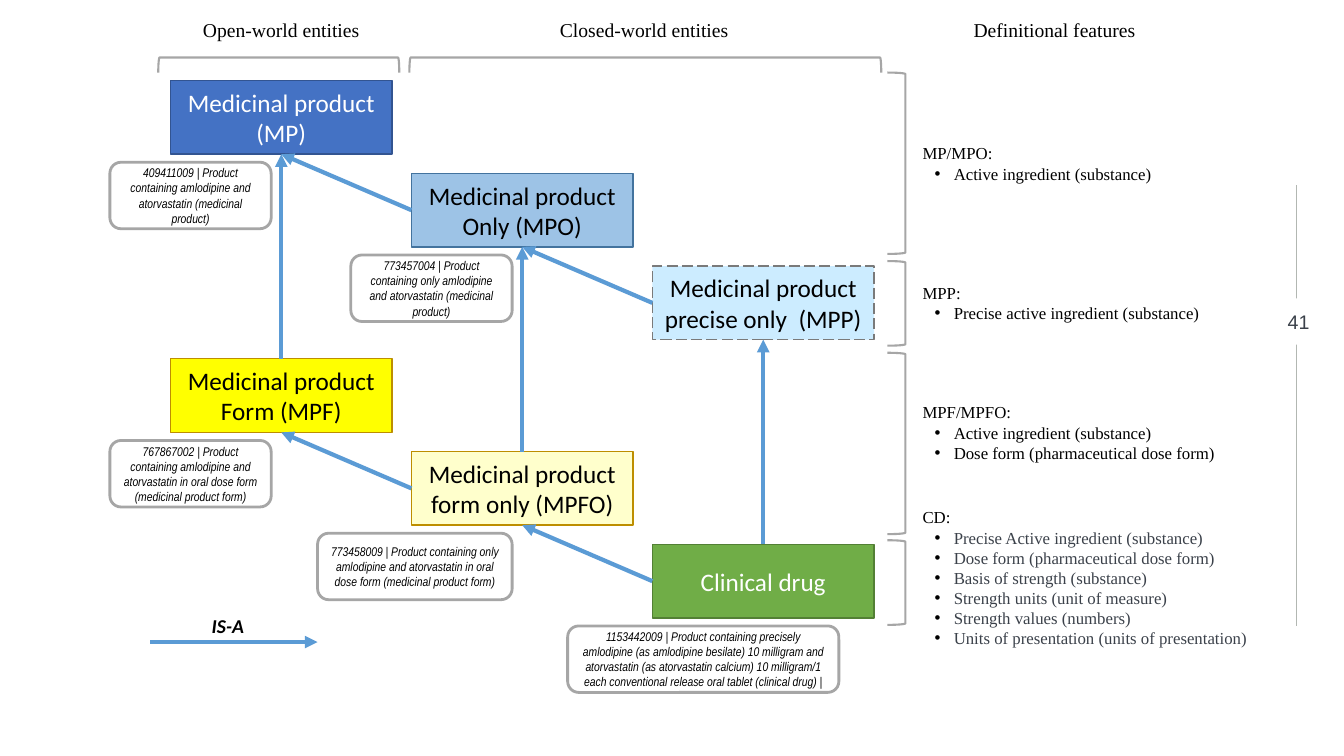
from dataclasses import dataclass

from lxml import etree
from pptx import Presentation
from pptx.dml.color import RGBColor
from pptx.enum import dml, shapes, text
from pptx.oxml import ns
from pptx.util import Inches, Pt

COLORS = {
    "black": "000000", "white": "FFFFFF", "slate": "3B414A", "arrow": "5B9BD5",
    "bracket": "A6A6A6", "rule": "B2B7B2",
    "blue": "4472C4", "navy": "325491", "sky": "9DC3E6", "steel": "43739E",
    "ice": "CCECFF", "gray": "7A7A7A", "yellow": "FFFF00", "gold": "BD8E00",
    "cream": "FFFFCC", "green": "70AD47", "forest": "538035",
}
BOX_W, BOX_H = 2.2, 0.73
COL_LEFT, COL_STEP = 1.69, 2.39
ROW_TOP, ROW_STEP = 0.8, 0.92
NOTE_H, NOTE_GAP = 0.66, 0.08
TOP, LEFT, BOTTOM = 0, 1, 2  # connection sites of a rectangle
SERIF = "Times New Roman"


@dataclass
class Concept:
    key: str
    label: str
    col: int
    row: int
    fill: str
    line: str
    font: str = "black"
    dashed: bool = False
    note: str = ""
    note_w: float = 1.6
    note_right: float = 1.0  # distance of the note's right edge from the box's left


@dataclass
class Features:
    title: str
    items: list[str]
    top: float
    height: float
    bracket_top: float
    bracket_h: float
    color: str = "black"
    bottom_inset: float = 0.05


@dataclass
class Heading:
    label: str
    left: float
    width: float


CONCEPTS = [
    Concept("MP", "Medicinal product (MP)", 0, 0, "blue", "navy", "white",
            note="409411009 | Product containing amlodipine and atorvastatin (medicinal product)"),
    Concept("MPO", "Medicinal product Only (MPO)", 1, 1, "sky", "steel",
            note="773457004 | Product containing only amlodipine and atorvastatin (medicinal product)"),
    Concept("MPP", "Medicinal product precise only  (MPP)", 2, 2, "ice", "gray", dashed=True),
    Concept("MPF", "Medicinal product\nForm (MPF)", 0, 3, "yellow", "gold",
            note="767867002 | Product containing amlodipine and atorvastatin in oral dose form "
                 "(medicinal product form)"),
    Concept("MPFO", "Medicinal product form only (MPFO)", 1, 4, "cream", "gold", note_w=1.93,
            note="773458009 | Product containing only amlodipine and atorvastatin in oral dose form "
                 "(medicinal product form)"),
    Concept("CD", "Clinical drug", 2, 5, "green", "forest", "white", note_w=2.69, note_right=1.85,
            note="1153442009 | Product containing precisely amlodipine (as amlodipine besilate) "
                 "10 milligram and atorvastatin (as atorvastatin calcium) 10 milligram/1 each "
                 "conventional release oral tablet (clinical drug) |"),
]
IS_A = [("MPO", LEFT, "MP"), ("MPP", LEFT, "MPO"), ("MPF", TOP, "MP"), ("MPFO", TOP, "MPO"),
        ("MPFO", LEFT, "MPF"), ("CD", TOP, "MPP"), ("CD", LEFT, "MPFO")]
FEATURES = [
    Features("MP/MPO:", ["Active ingredient (substance)"], 1.26, 0.72, 0.72, 1.8),
    Features("MPP:", ["Precise active ingredient (substance)"], 2.64, 0.72, 2.59, 0.84),
    Features("MPF/MPFO:", ["Active ingredient (substance)", "Dose form (pharmaceutical dose form)"],
             4.02, 0.72, 3.5, 1.8, bottom_inset=0.23),
    Features("CD:", ["Precise Active ingredient (substance)", "Dose form (pharmaceutical dose form)",
                     "Basis of strength (substance)", "Strength units (unit of measure)",
                     "Strength values (numbers)", "Units of presentation (units of presentation)"],
             4.92, 1.62, 5.36, 0.84, "slate"),
]
HEADINGS = [Heading("Open-world entities", 1.69, 2.2), Heading("Closed-world entities", 5.29, 2.2),
            Heading("Definitional features", 9.15, 2.62)]
WORLD_SPANS = [(1.57, 2.39), (4.06, 4.68)]  # left, width

prs = Presentation()
prs.slide_width, prs.slide_height = Inches(13.33), Inches(7.5)
s = prs.slides.add_slide(prs.slide_layouts[6])


def rgb(name: str) -> RGBColor:
    return RGBColor.from_string(COLORS[name])


def add_shape(kind, left: float, top: float, width: float, height: float,
              fill: str = "", line: str = "", weight: float = 1):
    sp = s.shapes.add_shape(kind, Inches(left), Inches(top), Inches(width), Inches(height))
    sp.shadow.inherit = False
    if fill:
        sp.fill.solid()
        sp.fill.fore_color.rgb = rgb(fill)
    else:
        sp.fill.background()
    if line:
        sp.line.color.rgb = rgb(line)
        sp.line.width = Pt(weight)
    else:
        sp.line.fill.background()
    return sp


def format_runs(p, font: str, size: float, color: str, bold: bool = False, italic: bool = False) -> None:
    for r in p.runs:
        r.font.name, r.font.size = font, Pt(size)
        r.font.bold, r.font.italic = bold, italic
        r.font.color.rgb = rgb(color)


def set_text(sp, words: str, font: str, size: float, color: str, **style: bool) -> None:
    """Fill a shape with centred, wrapped text."""
    tf = sp.text_frame
    tf.word_wrap = True
    tf.vertical_anchor = text.MSO_ANCHOR.MIDDLE
    tf.text = words
    for p in tf.paragraphs:
        p.alignment = text.PP_ALIGN.CENTER
        format_runs(p, font, size, color, **style)


def add_line(x1: float, y1: float, x2: float, y2: float, color: str, weight: float, arrow: bool = True):
    cxn = s.shapes.add_connector(shapes.MSO_CONNECTOR.STRAIGHT,
                                 Inches(x1), Inches(y1), Inches(x2), Inches(y2))
    cxn.line.color.rgb = rgb(color)
    cxn.line.width = Pt(weight)
    if arrow:
        etree.SubElement(cxn.line._get_or_add_ln(), ns.qn("a:tailEnd"), type="triangle")
    etree.SubElement(cxn._element.spPr, ns.qn("a:effectLst"))
    return cxn


def add_text_box(left: float, top: float, width: float, height: float):
    """Text box without side insets."""
    box = s.shapes.add_textbox(Inches(left), Inches(top), Inches(width), Inches(height))
    tf = box.text_frame
    tf.word_wrap = True
    tf.margin_left = tf.margin_right = 0
    tf.vertical_anchor = text.MSO_ANCHOR.MIDDLE
    return box


def add_bullet(p) -> None:
    pPr = p._p.get_or_add_pPr()
    pPr.set("marL", str(Inches(0.31)))
    pPr.set("indent", str(Inches(-0.19)))
    bullet_color = etree.SubElement(pPr, ns.qn("a:buClr"))
    etree.SubElement(bullet_color, ns.qn("a:srgbClr"), val=COLORS["black"])
    etree.SubElement(pPr, ns.qn("a:buFont"), typeface="Arial")
    etree.SubElement(pPr, ns.qn("a:buChar"), char="•")


def add_concept(c: Concept):
    left, top = COL_LEFT + c.col * COL_STEP, ROW_TOP + c.row * ROW_STEP
    sp = add_shape(shapes.MSO_SHAPE.RECTANGLE, left, top, BOX_W, BOX_H, c.fill, c.line)
    if c.dashed:
        sp.line.dash_style = dml.MSO_LINE.LONG_DASH
    set_text(sp, c.label, "Calibri", 18, c.font)
    if c.note:
        note = add_shape(shapes.MSO_SHAPE.ROUNDED_RECTANGLE, left + c.note_right - c.note_w,
                         top + BOX_H + NOTE_GAP, c.note_w, NOTE_H, line="bracket", weight=2)
        set_text(note, c.note, "Arial Narrow", 9, "black", italic=True)
    return sp


def add_features(f: Features) -> None:
    add_shape(shapes.MSO_SHAPE.RIGHT_BRACKET, 8.8, f.bracket_top, 0.18, f.bracket_h,
              line="bracket", weight=1.5)
    tf = add_text_box(9.15, f.top, 3.34, f.height).text_frame
    tf.margin_bottom = Inches(f.bottom_inset)
    tf.text = f.title
    format_runs(tf.paragraphs[0], SERIF, 12, "black")
    for item in f.items:
        p = tf.add_paragraph()
        add_bullet(p)
        p.text = item
        format_runs(p, SERIF, 12, f.color)


def add_world_bracket(left: float, width: float, top: float = 0.57, depth: float = 0.15) -> None:
    """Bracket opening downwards: a left bracket turned about its centre."""
    sp = add_shape(shapes.MSO_SHAPE.LEFT_BRACKET, left + (width - depth) / 2,
                   top + (depth - width) / 2, depth, width, line="bracket", weight=1.5)
    sp.rotation = 90


add_line(12.86, 1.84, 12.86, 6.21, "rule", 0.25, arrow=False)
page_number = add_shape(shapes.MSO_SHAPE.RECTANGLE, 12.65, 2.96, 0.46, 0.46, "white")
set_text(page_number, "41", "Arial", 14, "slate")

for h in HEADINGS:
    set_text(add_text_box(h.left, 0.1, h.width, 0.39), h.label, SERIF, 14, "black")
for span in WORLD_SPANS:
    add_world_bracket(*span)

boxes = {c.key: add_concept(c) for c in CONCEPTS}
for child, site, parent in IS_A:
    link = add_line(0, 0, 1, 1, "arrow", 3)
    link.begin_connect(boxes[child], site)
    link.end_connect(boxes[parent], BOTTOM)

for f in FEATURES:
    add_features(f)

add_line(1.49, 6.37, 3.15, 6.37, "arrow", 3)
legend = add_shape(shapes.MSO_SHAPE.ROUNDED_RECTANGLE, 1.59, 6.03, 1.34, 0.35)
set_text(legend, "IS-A", "Calibri", 14, "black", bold=True, italic=True)

prs.save("out.pptx")
